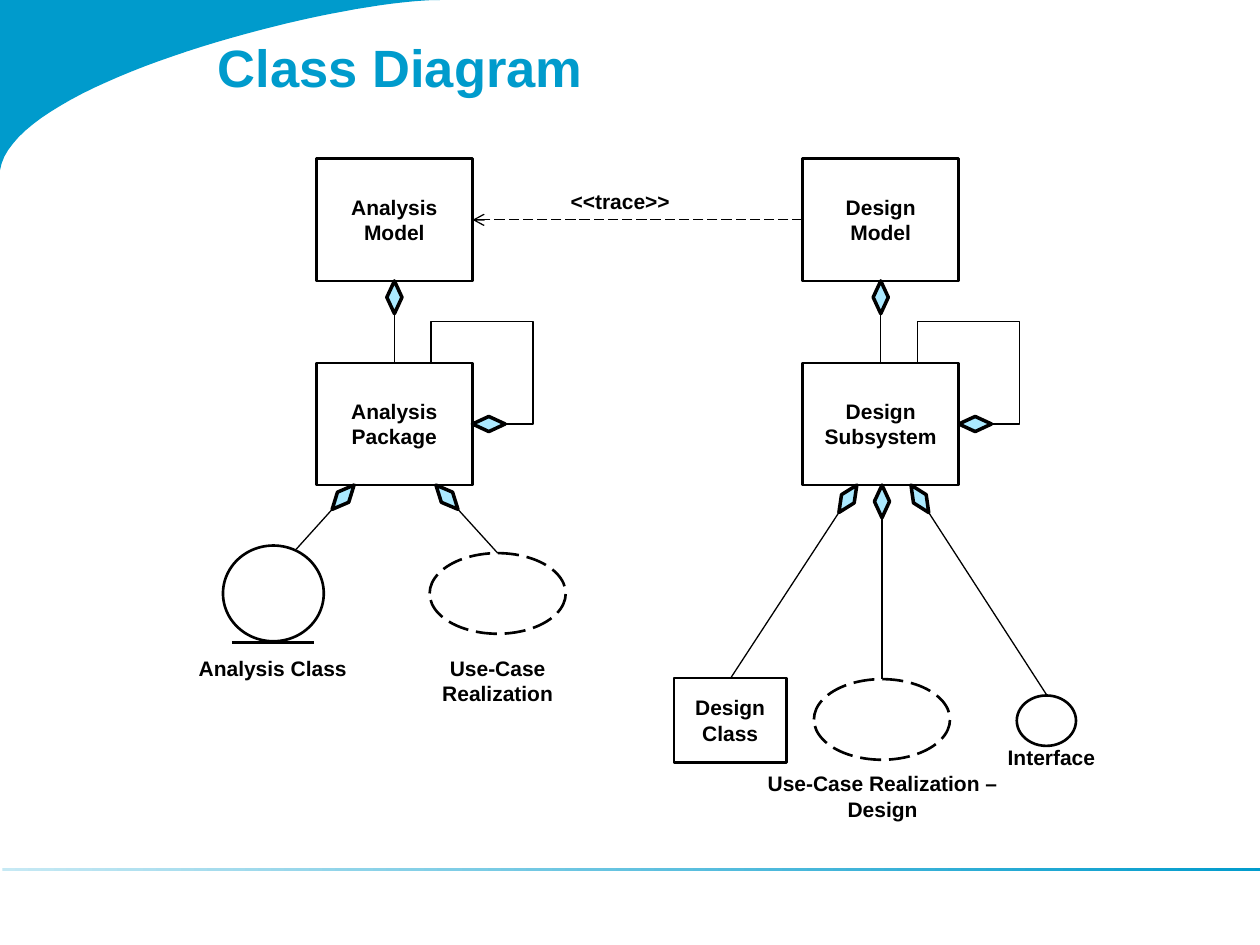
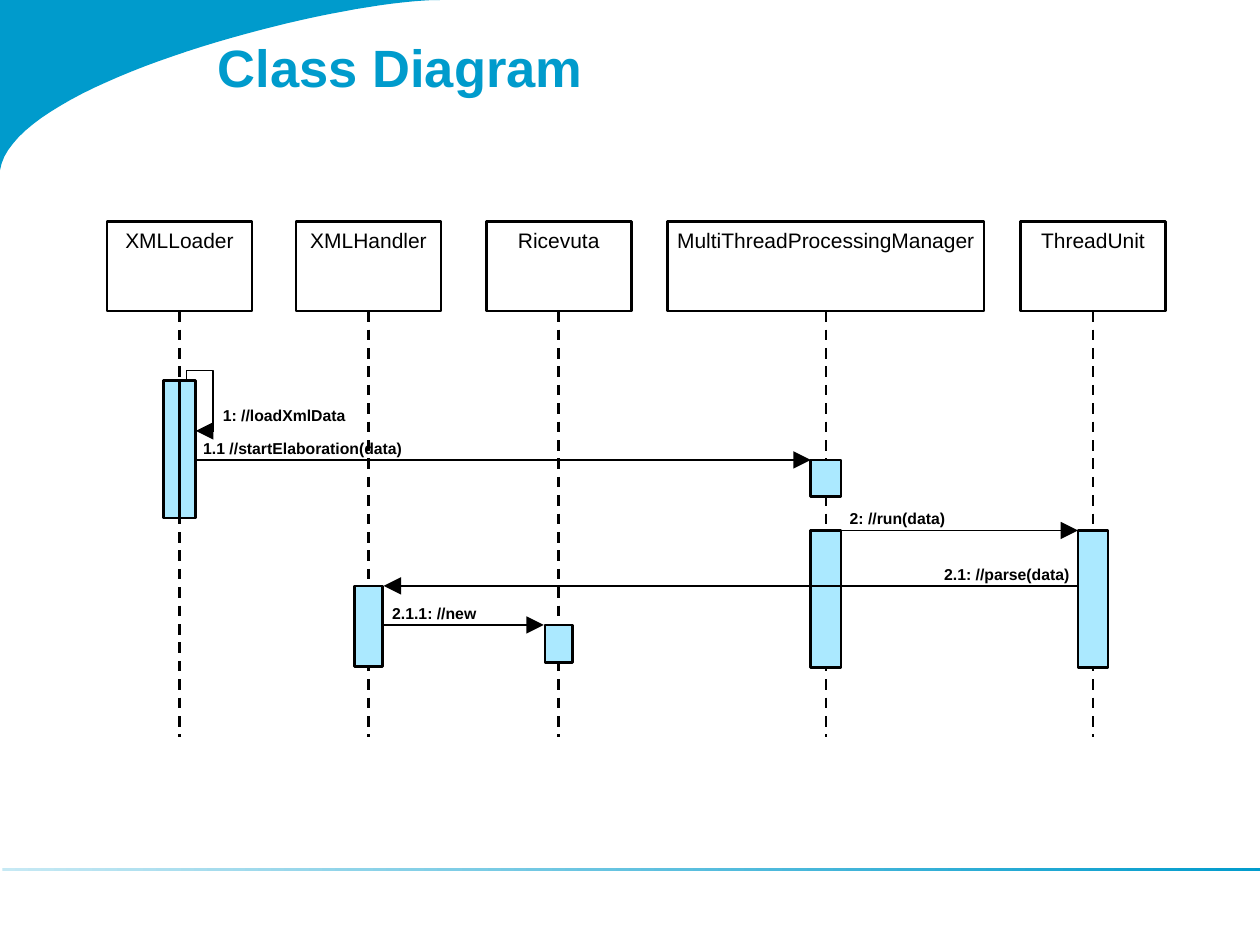
from math import atan2, cos, degrees, sin
from typing import NamedTuple

from lxml.etree import SubElement
from pptx import Presentation
from pptx.dml.color import RGBColor
from pptx.enum.dml import MSO_LINE as Dash
from pptx.enum.shapes import MSO_CONNECTOR as Wire, MSO_SHAPE as Form
from pptx.enum.text import MSO_ANCHOR as Anchor, MSO_AUTO_SIZE as Fit, PP_ALIGN as Align
from pptx.oxml.ns import qn
from pptx.util import Inches, Pt

WIDE, HIGH = Inches(10), Inches(7.5)
COL, ROW = WIDE / 100, HIGH / 75
BLUE = RGBColor(0x00, 0x9B, 0xCC)
PALE = RGBColor(0xC6, 0xE9, 0xF4)
SKY = RGBColor(0xAB, 0xE9, 0xFF)
BLACK = RGBColor(0, 0, 0)
FONT = "Arial"


class Box(NamedTuple):
    x: float
    y: float
    w: float
    h: float

    def pt(self, dx, dy):
        return self.x + dx, self.y + dy

    def sub(self, dx, dy, w, h):
        return Box(self.x + dx, self.y + dy, w, h)

    def emu(self):
        return [int(v) for v in (self.x * COL, self.y * ROW, self.w * COL, self.h * ROW)]


SHEET = Box(0, 0, 100, 75)
HEAD = Box(16.5, 0, 70.1, 14.7)
LEFT = Box(14.9, 12.6, 30, 44)
RIGHT = Box(53.5, 12.6, 34.5, 53.2)
FLOW = Box(8.5, 17.6, 84, 40.9)


def write(shape, text, size=12, bold=True, color=BLACK, align=Align.CENTER,
          anchor=Anchor.TOP, pad=(1, 0.5, 1, 0.5)):
    frame = shape.text_frame
    frame.text = text
    frame.vertical_anchor = anchor
    sides = [int(p * COL) for p in pad]
    frame.margin_left, frame.margin_top, frame.margin_right, frame.margin_bottom = sides
    for para in frame.paragraphs:
        para.alignment = align
        for run in para.runs:
            run.font.name, run.font.size, run.font.bold = FONT, Pt(size), bold
            run.font.color.rgb = color
    return frame


def draw(slide, form, box, fill=None, width=1.5, dash=None):
    shape = slide.shapes.add_shape(form, *box.emu())
    shape.shadow.inherit = False
    if fill is None:
        shape.fill.background()
    else:
        shape.fill.solid()
        shape.fill.fore_color.rgb = fill
    shape.line.color.rgb = BLACK
    shape.line.width = Pt(width)
    if dash:
        shape.line.dash_style = dash
    return shape


def block(slide, box, text):
    shape = draw(slide, Form.RECTANGLE, box)
    write(shape, text, anchor=Anchor.MIDDLE).word_wrap = True


def label(slide, box, text, size=12, align=Align.CENTER, wrap=False):
    left = 1 if align == Align.LEFT else 0
    frame = write(slide.shapes.add_textbox(*box.emu()), text, size, align=align,
                  pad=(left, 0.5, 0, 0.5))
    frame.word_wrap = wrap
    frame.auto_size = Fit.SHAPE_TO_FIT_TEXT


def wire(slide, start, end, width=0.75, dash=None, tip=None, kind=Wire.STRAIGHT):
    ends = [int(v * unit) for spot in (start, end) for v, unit in zip(spot, (COL, ROW))]
    line = slide.shapes.add_connector(kind, *ends)
    line.line.color.rgb = BLACK
    line.line.width = Pt(width)
    if dash:
        line.line.dash_style = dash
    props = line.element.spPr
    if tip:
        size = "lg" if tip == "triangle" else "med"
        SubElement(props.find(qn("a:ln")), qn("a:tailEnd"), type=tip, w=size, len=size)
    SubElement(props, qn("a:effectLst"))
    return line


def loop(slide, start, end, rise, reach=None, width=0.75):
    dx, dy = end[0] - start[0], end[1] - start[1]
    mx, my = (start[0] + end[0]) / 2, (start[1] + end[1]) / 2
    line = wire(slide, (mx + dy / 2, my - dx / 2), (mx - dy / 2, my + dx / 2),
                width, kind=Wire.ELBOW)
    props = line.element.spPr
    props.find(qn("a:xfrm")).set("rot", str(270 * 60000))
    geom = props.find(qn("a:prstGeom"))
    bends = [-rise / dy]
    if reach:
        bends.append(reach / dx)
    geom.set("prst", f"bentConnector{len(bends) + 2}")
    guides = geom.find(qn("a:avLst"))
    for num, bend in enumerate(bends, 1):
        SubElement(guides, qn("a:gd"), name=f"adj{num}", fmla=f"val {round(bend * 100000)}")


def gem(slide, tip, angle):
    long, thick = 2.6, 1.2
    mid = tip[0] + long / 2 * cos(angle), tip[1] + long / 2 * sin(angle)
    box = Box(mid[0] - long / 2, mid[1] - thick / 2, long, thick)
    draw(slide, Form.FLOWCHART_DECISION, box, SKY, 2).rotation = degrees(angle)


def link(slide, whole, part):
    wire(slide, part, whole)
    gem(slide, whole, atan2(part[1] - whole[1], part[0] - whole[0]))


def decor(slide, layout):
    curve = []
    for step in range(1, 41):
        t = step / 40
        u = 1 - t
        curve.append((3 * u * u * t * 1.1 + 3 * u * t * t * 26.8 + t ** 3 * 34.9,
                      u ** 3 * 13.5 + 3 * u * u * t * 6.4))
    pen = slide.shapes.build_freeform(0, 0, scale=COL / 100)
    pen.add_line_segments([(x * 100, y * 100) for x, y in [(0, 13.5)] + curve], close=True)
    swoop = pen.convert_to_shape()
    swoop.fill.solid()
    swoop.fill.fore_color.rgb = BLUE
    rule = slide.shapes.add_shape(Form.RECTANGLE, *SHEET.sub(0.2, 68.9, 100.4, 0.2).emu())
    rule.fill.gradient()
    rule.fill.gradient_angle = 0
    for stop, color in zip(rule.fill.gradient_stops, (PALE, BLUE)):
        stop.color.rgb = color
    for place, shape in enumerate((swoop, rule), 2):
        shape.shadow.inherit = False
        shape.line.fill.background()
        layout.shapes.element.insert(place, shape.element)


def title(slide, box, text):
    head = slide.shapes.title
    head.left, head.top, head.width, head.height = box.emu()
    frame = write(head, text, 30, color=BLUE, align=Align.LEFT, pad=(0.8, 2.8, 0.8, 0.4))
    frame.auto_size = Fit.NONE


def stem(slide, box, model, group):
    w, h, drop = 12.4, 9.7, 16.2
    top, low = box.sub(10.2, 0, w, h), box.sub(10.2, drop, w, h)
    block(slide, top, model)
    block(slide, low, group)
    link(slide, top.pt(w / 2, h), low.pt(w / 2, 0))
    side = low.pt(w, h / 2)
    loop(slide, low.pt(9.1, 0), side, 3.3, 8.1)
    gem(slide, side, 0)
    return top


def fan(slide, box, pairs):
    for root, leaf in pairs:
        link(slide, box.pt(root, 25.9), box.pt(*leaf))


def study(slide, box):
    top = stem(slide, box, "Analysis Model", "Analysis Package")
    draw(slide, Form.OVAL, box.sub(2.8, 30.7, 8, 7.6))
    wire(slide, box.pt(3.5, 38.4), box.pt(10, 38.4), 1.5)
    draw(slide, Form.OVAL, box.sub(19.2, 31.3, 10.8, 6.4), dash=Dash.LONG_DASH)
    fan(slide, box, [(13.2, (8.6, 31)), (19.7, (24.6, 31.3))])
    label(slide, box.sub(0, 38.9, 13.5, 3), "Analysis Class")
    label(slide, box.sub(18.2, 38.9, 12.8, 5), "Use-Case Realization", wrap=True)
    return top


def design(slide, box):
    top = stem(slide, box, "Design Model", "Design Subsystem")
    block(slide, box.sub(0, 41.2, 8.9, 6.7), "Design Class")
    draw(slide, Form.OVAL, box.sub(11.1, 41.3, 10.8, 6.4), dash=Dash.LONG_DASH)
    draw(slide, Form.OVAL, box.sub(27.2, 42.6, 4.7, 4))
    fan(slide, box, [(14.5, (4.5, 41.2)), (16.5, (16.5, 41.3)), (18.8, (29.6, 42.6))])
    label(slide, box.sub(5.7, 48.1, 21.7, 5), "Use-Case Realization – Design", wrap=True)
    label(slide, box.sub(25.5, 46, 8.9, 3), "Interface")
    return top


def trace(slide, goal, source):
    mid = goal.h / 2
    wire(slide, source.pt(0, mid), goal.pt(goal.w, mid), dash=Dash.LONG_DASH, tip="arrow")
    label(slide, goal.sub(19.2, 1.9, 9.9, 3), "<<trace>>", align=Align.LEFT)


def heads(slide, box):
    tall, mids = 7.1, []
    for name, x, w in [("XMLLoader", 0, 11.5), ("XMLHandler", 15, 11.5),
                       ("Ricevuta", 30.1, 11.5),
                       ("MultiThreadProcessingManager", 44.5, 25.1),
                       ("ThreadUnit", 72.5, 11.5)]:
        shape = draw(slide, Form.RECTANGLE, box.sub(x, 0, w, tall))
        write(shape, name, bold=False, pad=(0, 0.5, 0, 0.5))
        mids.append(x + w / 2)
    for mid in mids:
        wire(slide, box.pt(mid, tall), box.pt(mid, box.h), 1.5, Dash.DASH)
    return mids


def bars(slide, box, mids):
    loader, hand, bill, chief, unit = mids
    for mid, y, w, h in [(loader, 12.6, 2.5, 10.9), (chief, 24.5, 2.4, 10.9),
                         (unit, 24.5, 2.4, 10.9), (hand, 28.9, 2.2, 6.4),
                         (bill, 32, 2.2, 3), (chief, 18.9, 2.4, 2.9)]:
        draw(slide, Form.RECTANGLE, box.sub(mid - w / 2, y, w, h), SKY)
    wire(slide, box.pt(loader, 12.6), box.pt(loader, 23.5), 1.5)


def calls(slide, box, mids):
    loader, hand, bill, chief, unit = mids
    half = 1.2
    for start, end, y, text, w in [
            (loader, chief, 18.9, "1.1 //startElaboration(data)", 17.7),
            (chief, unit, 24.5, "2: //run(data)", 9.5),
            (hand, bill, 32, "2.1.1: //new", 8.6),
            (unit, hand, 28.9, "2.1: //parse(data)", 11.9)]:
        way = 1 if end > start else -1
        root = start + way * half
        wire(slide, box.pt(root, y), box.pt(end - way * half, y), 1, tip="triangle")
        x = root - 0.3 if way > 0 else root + 0.3 - w
        label(slide, box.sub(x, y - 2.2, w, 2.5), text, 9, Align.LEFT)
    loop(slide, box.pt(loader + 0.55, 12.6), box.pt(loader + 2.65, 16.7), 0.8, width=1)
    wire(slide, box.pt(loader + 2.65, 16.6), box.pt(loader + 1.3, 16.6), 1, tip="triangle")
    label(slide, box.sub(loader + 2.45, 14.1, 11.7, 2.5), "1: //loadXmlData", 9, Align.LEFT)


def main():
    deck = Presentation()
    deck.slide_width, deck.slide_height = WIDE, HIGH
    layout = deck.slide_layouts[5]
    first, second = [deck.slides.add_slide(layout) for _ in range(2)]
    decor(first, layout)
    for slide in (first, second):
        title(slide, HEAD, "Class Diagram")
    trace(first, study(first, LEFT), design(first, RIGHT))
    mids = heads(second, FLOW)
    bars(second, FLOW, mids)
    calls(second, FLOW, mids)
    deck.save("out.pptx")


if __name__ == "__main__":
    main()
